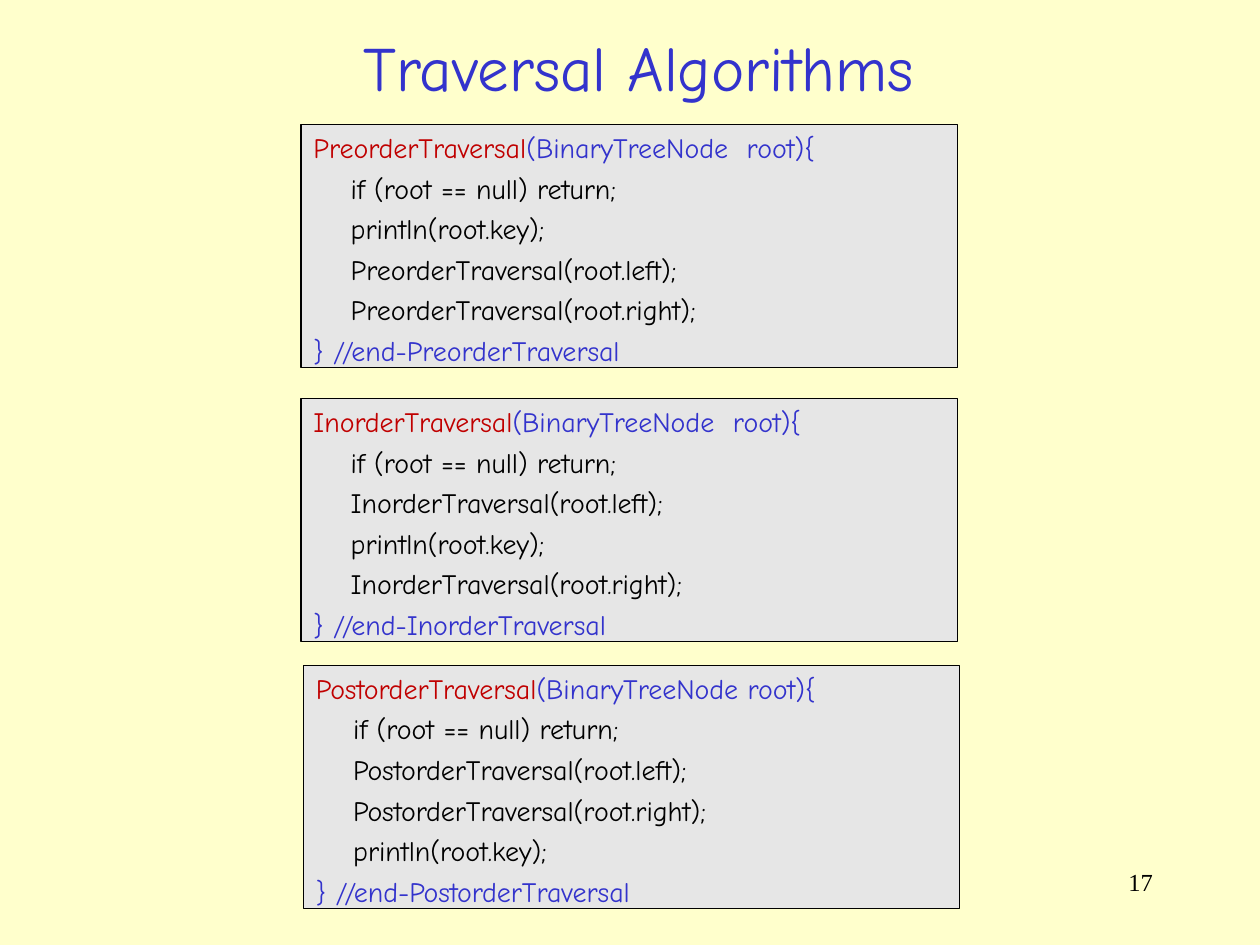
from pptx import Presentation
from pptx import util as u
from pptx.dml.color import RGBColor
from pptx.enum import shapes, text

CREAM = RGBColor(0xFF, 0xFF, 0xCC)
GREY = RGBColor(0xE6, 0xE6, 0xE6)
BLACK = RGBColor(0, 0, 0)
BLUE = RGBColor(0x33, 0x33, 0xCC)
RED = RGBColor(0xC0, 0, 0)

LEFT, RIGHT, PRINT = "{}(root.left);", "{}(root.right);", "println(root.key);"
ALGORITHMS = [
    # name, parameter list, order of the steps, left and top in cm
    ("PreorderTraversal", "(BinaryTreeNode  root){", (PRINT, LEFT, RIGHT), 6.07, 2.51),
    ("InorderTraversal", "(BinaryTreeNode  root){", (LEFT, PRINT, RIGHT), 6.07, 8.03),
    ("PostorderTraversal", "(BinaryTreeNode root){", (LEFT, RIGHT, PRINT), 6.12, 13.41),
]


class Deck:
    FONT = "Comic Neue"
    CODE_SIZE = u.Pt(16)

    def __init__(self):
        self.prs = Presentation()
        self.prs.slide_width, self.prs.slide_height = u.Cm(25.4), u.Cm(19.05)
        self.s = self.prs.slides.add_slide(self.prs.slide_layouts[5])
        fill = self.s.background.fill
        fill.solid()
        fill.fore_color.rgb = CREAM

    def run(self, p, words, color, **style):
        r = p.add_run()
        r.text = words
        for key, value in {"name": self.FONT, "size": self.CODE_SIZE, **style}.items():
            setattr(r.font, key, value)
        r.font.color.rgb = color

    def title(self, words, left, top, width, height):
        sp = self.s.shapes.title
        place = {"left": left, "top": top, "width": width, "height": height}
        for key, value in place.items():
            setattr(sp, key, u.Cm(value))
        tf = sp.text_frame
        tf.vertical_anchor = text.MSO_ANCHOR.MIDDLE
        p = tf.paragraphs[0]
        p.alignment = text.PP_ALIGN.CENTER
        self.run(p, words, BLUE, size=u.Pt(36))

    def code_box(self, lines, left, top, width=13.23, height=4.9):
        """Draw a framed listing; each line is a list of (words, color) runs."""
        sp = self.s.shapes.add_shape(
            shapes.MSO_SHAPE.RECTANGLE, *map(u.Cm, (left, top, width, height)))
        sp.shadow.inherit = False
        sp.fill.solid()
        sp.fill.fore_color.rgb = GREY
        sp.line.color.rgb = BLACK
        sp.line.width = u.Pt(0.75)
        tf = sp.text_frame
        tf.word_wrap = True
        tf.vertical_anchor = text.MSO_ANCHOR.TOP
        for i, runs in enumerate(lines):
            p = tf.add_paragraph() if i else tf.paragraphs[0]
            p.alignment = text.PP_ALIGN.LEFT
            if i:
                p.space_before = u.Pt(4)
            for words, color in runs:
                self.run(p, words, color)

    def page_number(self, number, left, top, width, height):
        sp = self.s.shapes.add_textbox(*map(u.Cm, (left, top, width, height)))
        tf = sp.text_frame
        tf.word_wrap = True
        p = tf.paragraphs[0]
        p.alignment = text.PP_ALIGN.RIGHT
        self.run(p, number, BLACK, name="Times New Roman", size=u.Pt(14))


def main():
    deck = Deck()
    deck.page_number("17", 18.21, 17.35, 5.28, 1.27)
    deck.title("Traversal Algorithms", 0.76, 0.38, 24.23, 1.93)
    for name, params, steps, left, top in ALGORITHMS:
        body = ["if (root == null) return;", *(step.format(name) for step in steps)]
        deck.code_box(
            [[(name, RED), (params, BLUE)],
             *([("    " + line, BLACK)] for line in body),
             [("} //end-" + name, BLUE)]],
            left, top)
    deck.prs.save("out.pptx")


if __name__ == "__main__":
    main()
